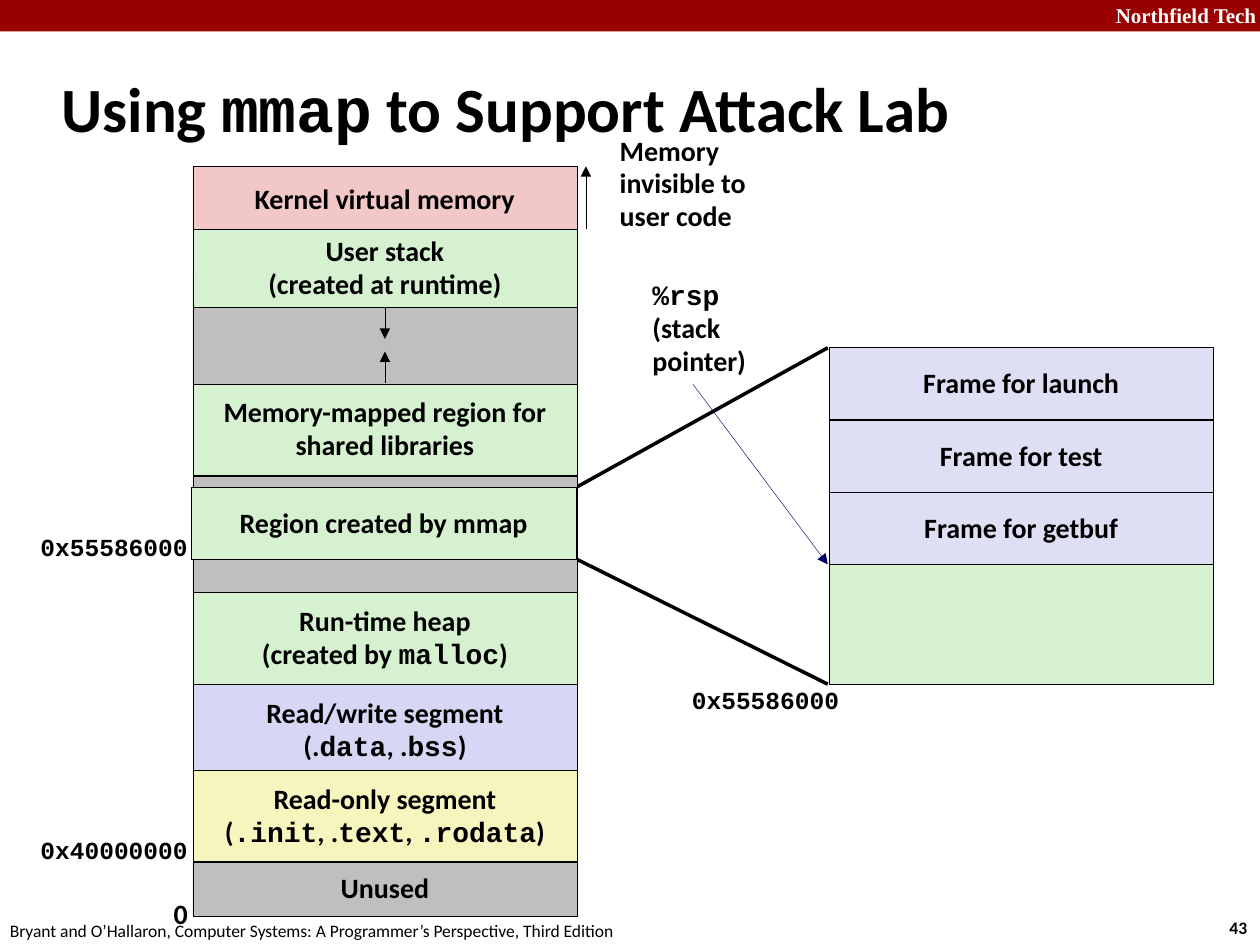
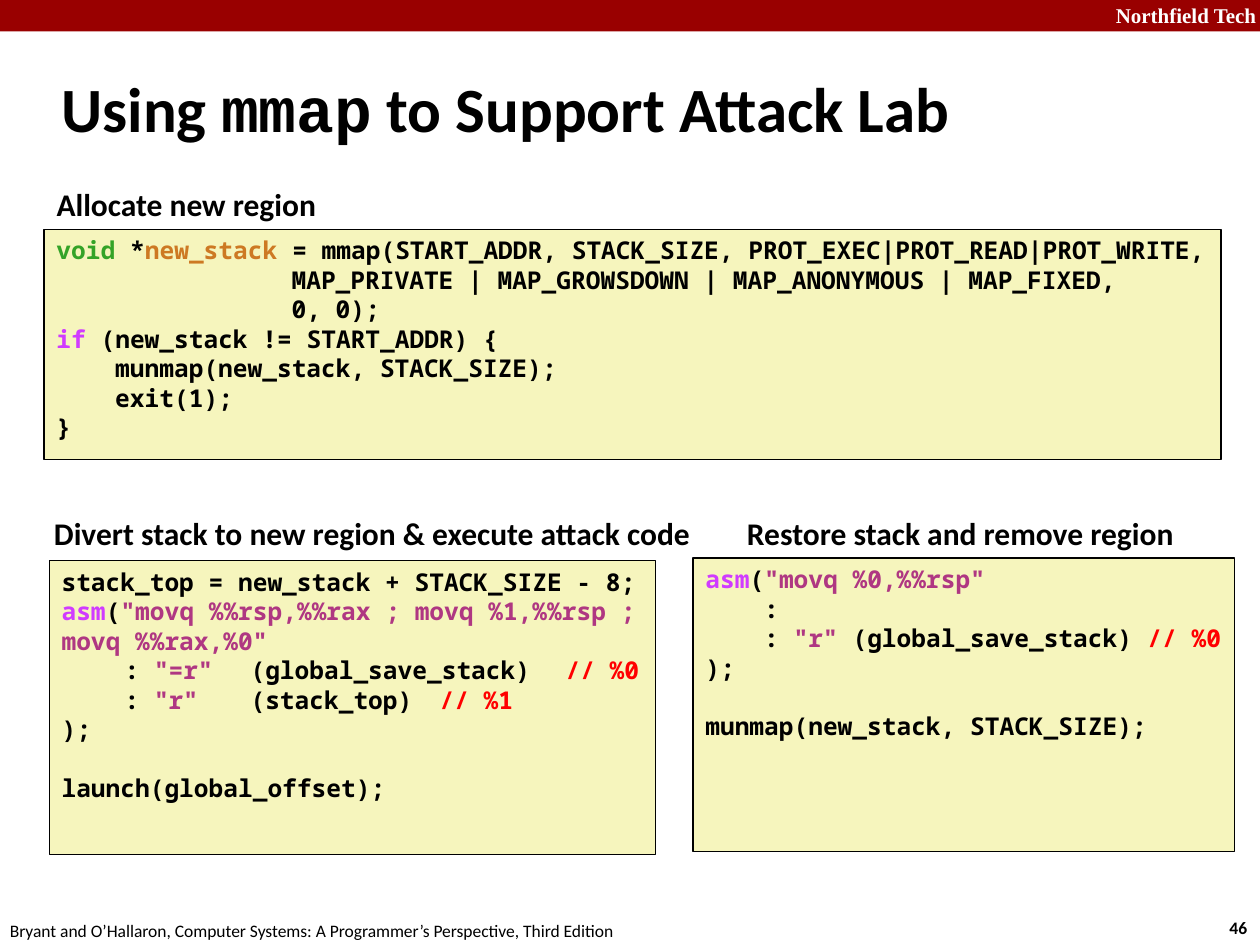
from lxml import etree
from pptx import Presentation
from pptx import util as u
from pptx.dml.color import RGBColor
from pptx.enum import shapes, text
from pptx.oxml import ns

BLACK, WHITE, BAND, NAVY = "000000", "FFFFFF", "990000", "000066"
GREEN, PINK, GRAY, LILAC, PALE, YELLOW = (
    "D5F1CF", "F1C7C7", "BFBFBF", "D6D6F5", "DEDFF5", "F6F5BD")
KEYWORD, STRING, TYPE, VARIABLE, COMMENT = (
    "D03BFF", "AF3782", "34A327", "CD7923", "FF0000")
SANS, MONO, CODE, SERIF = "Calibri", "Courier New", "Noto Sans Mono", "Times New Roman"
LEFT, CENTER, RIGHT = text.PP_ALIGN.LEFT, text.PP_ALIGN.CENTER, text.PP_ALIGN.RIGHT

CODE_SIZE = 14
CHAR = 0.6 * CODE_SIZE      # width of one code character, points
CODE_LINE = 1.2 * CODE_SIZE  # height of one code line, points


def rgb(hex_colour):
    return RGBColor.from_string(hex_colour)


class Deck:
    def __init__(self):
        self.prs = Presentation()
        self.prs.slide_width, self.prs.slide_height = u.Inches(10), u.Inches(7.5)
        self.slide = None

    def new_slide(self, title, number):
        """Start a slide with the shared band, footer and title."""
        self.slide = self.prs.slides.add_slide(self.prs.slide_layouts[6])
        self.box(0, 0, 10, 0.25, BAND, line=None)
        self.label(8.64, -0.03, 1.43, 0.3, "Northfield Tech", 12, font=SERIF,
                   colour=WHITE, align=RIGHT, wrap=True)
        self.label(9.66, 7.23, 0.37, 0.27, number, 10)
        self.label(-0.02, 7.25, 5.08, 0.27,
                   "Bryant and O’Hallaron, Computer Systems: "
                   "A Programmer’s Perspective, Third Edition", 10, bold=False)
        self.label(0.39, 0.49, 8.3, 0.83, title, 36, spacing=0.82, wrap=True,
                   anchor=text.MSO_ANCHOR.MIDDLE)

    def add_part(self, paragraph, content, size, font, colour=BLACK, bold=True):
        run = paragraph.add_run()
        run.text = content
        run.font.size, run.font.name, run.font.bold = u.Pt(size), font, bold
        run.font.color.rgb = rgb(colour)

    def paragraphs(self, frame, lines):
        for i, line in enumerate(lines):
            yield (frame.add_paragraph() if i else frame.paragraphs[0]), line

    def set_lines(self, frame, content, size, font=SANS, colour=BLACK, bold=True,
                  align=LEFT, spacing=None):
        """Fill a frame; parts between backticks are set in the fixed-width font."""
        for paragraph, line in self.paragraphs(frame, content.split("\n")):
            paragraph.alignment = align
            if spacing:
                paragraph.line_spacing = spacing
            for i, part in enumerate(line.split("`")):
                if part:
                    self.add_part(paragraph, part, size, MONO if i % 2 else font, colour, bold)

    def label(self, left, top, width, height, content, size, wrap=False,
              anchor=text.MSO_ANCHOR.TOP, **style):
        area = self.slide.shapes.add_textbox(*map(u.Inches, (left, top, width, height)))
        area.text_frame.word_wrap = wrap
        area.text_frame.vertical_anchor = anchor
        self.set_lines(area.text_frame, content, size, **style)

    def box(self, left, top, width, height, fill, content="", line=0.25):
        rect = self.slide.shapes.add_shape(
            shapes.MSO_SHAPE.RECTANGLE, *map(u.Inches, (left, top, width, height)))
        rect.shadow.inherit = False
        rect.fill.solid()
        rect.fill.fore_color.rgb = rgb(fill)
        if line:
            rect.line.color.rgb = rgb(BLACK)
            rect.line.width = u.Pt(line)
        else:
            rect.line.fill.background()
        if content:
            rect.text_frame.word_wrap = False
            rect.text_frame.vertical_anchor = text.MSO_ANCHOR.MIDDLE
            self.set_lines(rect.text_frame, content, 16, align=CENTER, spacing=0.98)
        return rect

    def line(self, start, end, width=0.25, colour=BLACK, arrow=True, source=None):
        """Draw a line; source is an optional (shape, side) it starts from."""
        link = self.slide.shapes.add_connector(
            shapes.MSO_CONNECTOR.STRAIGHT, *map(u.Inches, start + end))
        if source:
            link.begin_connect(*source)
        link.line.color.rgb = rgb(colour)
        link.line.width = u.Pt(width)
        props = link._element.spPr
        if arrow:
            etree.SubElement(props.find(ns.qn("a:ln")), ns.qn("a:tailEnd"), type="triangle")
        etree.SubElement(props, ns.qn("a:effectLst"))

    def code(self, left, top, width, height, lines, stops=()):
        """Code panel; a line is (indent in characters, blank lines before, *parts)."""
        frame = self.box(left, top, width, height, YELLOW, line=0.75).text_frame
        frame.word_wrap = True
        frame.vertical_anchor = text.MSO_ANCHOR.TOP
        for paragraph, (indent, gap, *parts) in self.paragraphs(frame, lines):
            paragraph.alignment = LEFT
            paragraph.space_before = u.Pt(gap * CODE_LINE)
            props = paragraph._p.get_or_add_pPr()
            props.set("marL", str(u.Pt(indent * CHAR)))
            props.set("indent", "0")
            if stops:
                tabs = etree.SubElement(props, ns.qn("a:tabLst"))
                for stop in stops:
                    etree.SubElement(tabs, ns.qn("a:tab"), pos=str(u.Pt(stop * CHAR)), algn="l")
            for part in parts:
                content, colour = (part, BLACK) if isinstance(part, str) else part
                self.add_part(paragraph, content, CODE_SIZE, CODE, colour)


def memory_slide(deck):
    memory_left, frames_left, width = 1.53, 6.58, 3.05
    middle = memory_left + width / 2

    def address(left, top, content):
        deck.label(left, top, 1.37, 0.33, content, 14, font=MONO, align=RIGHT, spacing=0.94)

    def segment(top, height, fill, content=""):
        return deck.box(memory_left, top, width, height, fill, content)

    # Magnified region and its zoom lines
    deck.box(frames_left, 2.78, width, 2.65, GREEN)
    address(5.39, 5.41, "0x55586000")
    deck.line((6.57, 2.76), (4.57, 3.87), 2, arrow=False)
    deck.line((6.57, 5.43), (4.58, 4.44), 2, arrow=False)

    # Address space, high addresses at the top
    segment(1.32, 0.53, PINK, "Kernel virtual memory")
    libraries = segment(3.04, 0.73, GREEN, "Memory-mapped region for\nshared libraries")
    segment(4.7, 0.73, GREEN, "Run-time heap\n(created by `malloc`)")
    segment(2.19, 0.86, GRAY)
    stack = segment(1.82, 0.62, GREEN, "User stack\n(created at runtime)")
    segment(6.84, 0.43, GRAY, "Unused")
    segment(5.43, 0.73, LILAC, "Read/write segment\n(.`data`, .`bss`)")
    segment(6.11, 0.73, YELLOW, "Read-only segment\n(`.init`, .`text`, `.rodata`)")
    segment(3.78, 0.92, GRAY)
    deck.box(1.52, 3.87, width, 0.57, GREEN, "Region created by mmap")

    # Growth directions
    deck.line((middle, 3.04), (middle, 2.79), source=(libraries, 0))
    deck.line((middle, 2.44), (middle, 2.69), source=(stack, 2))
    deck.line((4.65, 1.82), (4.65, 1.32))

    # Addresses and side notes
    address(0.22, 4.19, "0x55586000")
    address(0.22, 6.6, "0x40000000")
    deck.label(1.28, 7.08, 0.31, 0.37, "0", 16, spacing=0.98)
    deck.label(4.82, 1.02, 1.26, 0.89, "Memory\ninvisible to\nuser code", 16, spacing=0.98)
    deck.label(5.08, 2.17, 0.95, 0.88, "`%rsp`\n(stack\npointer)", 16, spacing=0.98)

    # Stack frames inside the region
    for i, function in enumerate(("launch", "test", "getbuf")):
        deck.box(frames_left, 2.76 + i * 0.575, width, 0.57, PALE, f"Frame for {function}")
    deck.line((5.5, 3.05), (6.57, 4.48), colour=NAVY)


def code_slide(deck):
    # Divert the stack
    deck.code(0.39, 4.45, 4.81, 2.33, [
        (0, 0, "stack_top = new_stack + STACK_SIZE - 8;"),
        (0, 0, ("asm", KEYWORD), "(",
         ('"movq %%rsp,%%rax ; movq %1,%%rsp ; movq %%rax,%0"', STRING)),
        (0, 0, "\t: ", ('"=r"', STRING), "\t(global_save_stack)\t", ("// %0", COMMENT)),
        (0, 0, "\t: ", ('"r"', STRING), "\t(stack_top)\t", ("// %1", COMMENT)),
        (0, 0, ");"),
        (0, 1, "launch(global_offset);"),
    ], stops=(4, 11, 31))

    # Allocate the region
    deck.code(0.35, 1.82, 9.34, 1.83, [
        (0, 0, ("void", TYPE), " *", ("new_stack", VARIABLE),
         " = mmap(START_ADDR, STACK_SIZE, PROT_EXEC|PROT_READ|PROT_WRITE,"),
        (16, 0, "MAP_PRIVATE | MAP_GROWSDOWN | MAP_ANONYMOUS | MAP_FIXED,"),
        (16, 0, "0, 0);"),
        (0, 0, ("if", KEYWORD), " (new_stack != START_ADDR) {"),
        (4, 0, "munmap(new_stack, STACK_SIZE);"),
        (4, 0, "exit(1);"),
        (0, 0, "}"),
    ])

    # Restore the stack
    deck.code(5.5, 4.43, 4.3, 2.33, [
        (0, 0, ("asm", KEYWORD), "(", ('"movq %0,%%rsp"', STRING)),
        (4, 0, ":"),
        (4, 0, ": ", ('"r"', STRING), " (global_save_stack) ", ("// %0", COMMENT)),
        (0, 0, ");"),
        (0, 1, "munmap(new_stack, STACK_SIZE);"),
    ])

    # Panel headings
    for left, top, width, heading in (
            (0.35, 1.42, 2.28, "Allocate new region"),
            (0.33, 4.03, 5.3, "Divert stack to new region & execute attack code"),
            (5.83, 4.03, 3.61, "Restore stack and remove region")):
        deck.label(left, top, width, 0.4, heading, 18)


def main():
    deck = Deck()
    for number, fill_slide in (("43", memory_slide), ("46", code_slide)):
        deck.new_slide("Using `mmap` to Support Attack Lab", number)
        fill_slide(deck)
    deck.prs.save("out.pptx")


if __name__ == "__main__":
    main()
